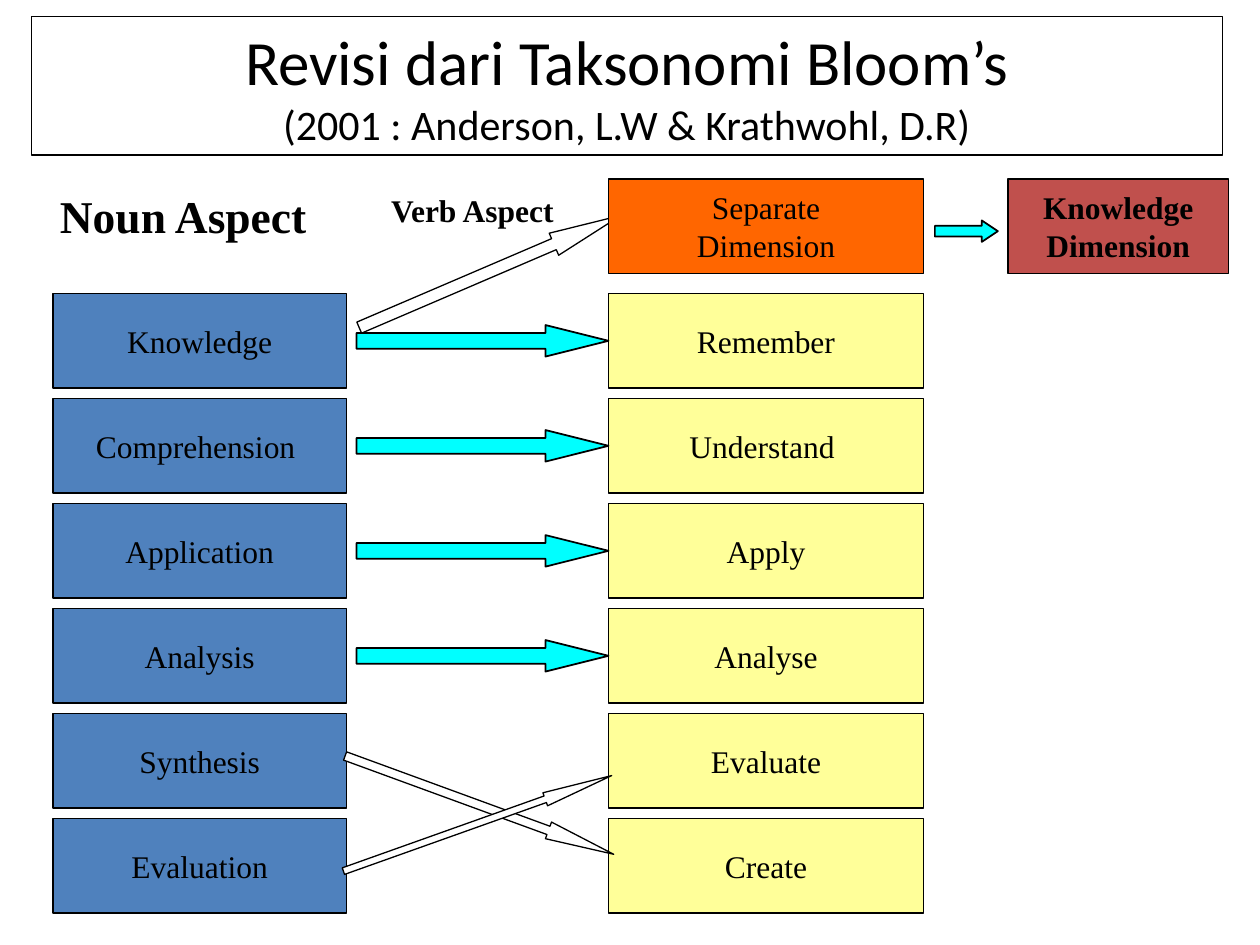
from pptx import Presentation
from pptx.dml.color import RGBColor
from pptx.enum.shapes import MSO_SHAPE
from pptx.enum.text import MSO_ANCHOR, MSO_AUTO_SIZE, PP_ALIGN
from pptx.util import Inches, Pt

BLACK, WHITE, CYAN = "000000", "FFFFFF", "00FFFF"
BLUE, YELLOW, ORANGE, RED = "4F81BD", "FFFF99", "FF6600", "C0504D"

LEVELS = [
    ("Knowledge", "Remember"),
    ("Comprehension ", "Understand "),
    ("Application", "Apply"),
    ("Analysis", "Analyse"),
    ("Synthesis", "Evaluate"),
    ("Evaluation", "Create"),
]
STRAIGHT_ARROWS = 4
ROW_TOP, ROW_PITCH, BOX_HEIGHT = 2.33, 5 / 6, 0.75
NOUN_LEFT, NOUN_WIDTH = 0.42, 2.33
VERB_LEFT, VERB_WIDTH = 4.83, 2.5
ARROW_LEFT, ARROW_WIDTH, ARROW_HEIGHT = 2.83, 2, 0.25


def color(value):
    return RGBColor.from_string(value)


def format_font(font, name="Times New Roman", size=18, bold=False):
    font.name = name
    font.size = Pt(size)
    font.bold = bold
    font.color.rgb = color(BLACK)


def write_text(shape, *lines, **font_format):
    """Write each line as a centred paragraph in the middle of the shape."""
    frame = shape.text_frame
    frame.word_wrap = False
    frame.vertical_anchor = MSO_ANCHOR.MIDDLE
    for index, line in enumerate(lines):
        paragraph = frame.add_paragraph() if index else frame.paragraphs[0]
        paragraph.alignment = PP_ALIGN.CENTER
        run = paragraph.add_run()
        run.text = line
        format_font(run.font, **font_format)


def add_filled_shape(slide, kind, bounds, fill, line_width=1):
    shape = slide.shapes.add_shape(kind, *map(Inches, bounds))
    shape.shadow.inherit = False
    shape.fill.solid()
    shape.fill.fore_color.rgb = color(fill)
    shape.line.color.rgb = color(BLACK)
    shape.line.width = Pt(line_width)
    return shape


def add_box(slide, bounds, fill, *lines, **font_format):
    box = add_filled_shape(slide, MSO_SHAPE.RECTANGLE, bounds, fill)
    write_text(box, *lines, **font_format)


def add_arrow(slide, bounds, head, fill=CYAN, line_width=1, rotation=0):
    arrow = add_filled_shape(slide, MSO_SHAPE.RIGHT_ARROW, bounds, fill, line_width)
    arrow.adjustments[0] = 0.5
    arrow.adjustments[1] = head
    arrow.rotation = rotation


def add_diagonal_arrow(slide, bounds, head, rotation):
    add_arrow(slide, bounds, head, WHITE, 0.75, rotation)


def add_label(slide, bounds, text, size):
    label = slide.shapes.add_textbox(*map(Inches, bounds))
    write_text(label, text, size=size, bold=True)


def format_title(title):
    title.left, title.top = Inches(0.25), Inches(0.13)
    title.width, title.height = Inches(9.45), Inches(1.1)
    title.line.color.rgb = color(BLACK)
    title.line.width = Pt(0.75)
    write_text(title, "Revisi dari Taksonomi Bloom’s", name="Calibri", size=36)
    title.text_frame.word_wrap = True
    title.text_frame.auto_size = MSO_AUTO_SIZE.NONE
    paragraph = title.text_frame.paragraphs[0]
    paragraph.add_line_break()
    subtitle = paragraph.add_run()
    subtitle.text = "(2001 : Anderson, L.W & Krathwohl, D.R)"
    format_font(subtitle.font, name="Calibri", size=24)


def main():
    presentation = Presentation()
    presentation.slide_width, presentation.slide_height = Inches(10), Inches(7.5)
    slide = presentation.slides.add_slide(presentation.slide_layouts[5])
    format_title(slide.shapes.title)

    # Knowledge becomes a separate dimension
    add_diagonal_arrow(slide, (2.76, 2.06, 2.26, 0.19), 3.04, -23.2)

    # Old levels, new levels and the arrows between them
    for index, (noun, verb) in enumerate(LEVELS):
        top = ROW_TOP + index * ROW_PITCH
        add_box(slide, (NOUN_LEFT, top, NOUN_WIDTH, BOX_HEIGHT), BLUE, noun)
        add_box(slide, (VERB_LEFT, top, VERB_WIDTH, BOX_HEIGHT), YELLOW, verb)
        if index < STRAIGHT_ARROWS:
            arrow_top = top + (BOX_HEIGHT - ARROW_HEIGHT) / 2
            add_arrow(slide, (ARROW_LEFT, arrow_top, ARROW_WIDTH, ARROW_HEIGHT), 2)

    # Header row
    add_box(slide, (VERB_LEFT, 1.42, VERB_WIDTH, BOX_HEIGHT), ORANGE,
            "Separate", "Dimension")
    add_label(slide, (0.33, 1.33, 2.25, 0.75), "Noun Aspect", 26)
    add_label(slide, (2.75, 1.42, 2, 0.5), "Verb Aspect", 18)
    add_box(slide, (8, 1.42, 1.75, BOX_HEIGHT), RED,
            "Knowledge", "Dimension", bold=True)
    add_arrow(slide, (7.42, 1.75, 0.5, 0.17), 0.75)

    # The last two levels swap places
    add_diagonal_arrow(slide, (2.67, 6.32, 2.27, 0.14), 3.93, 20.1)
    add_diagonal_arrow(slide, (2.66, 6.48, 2.26, 0.11), 5.09, -19.6)

    presentation.save("out.pptx")


if __name__ == "__main__":
    main()
